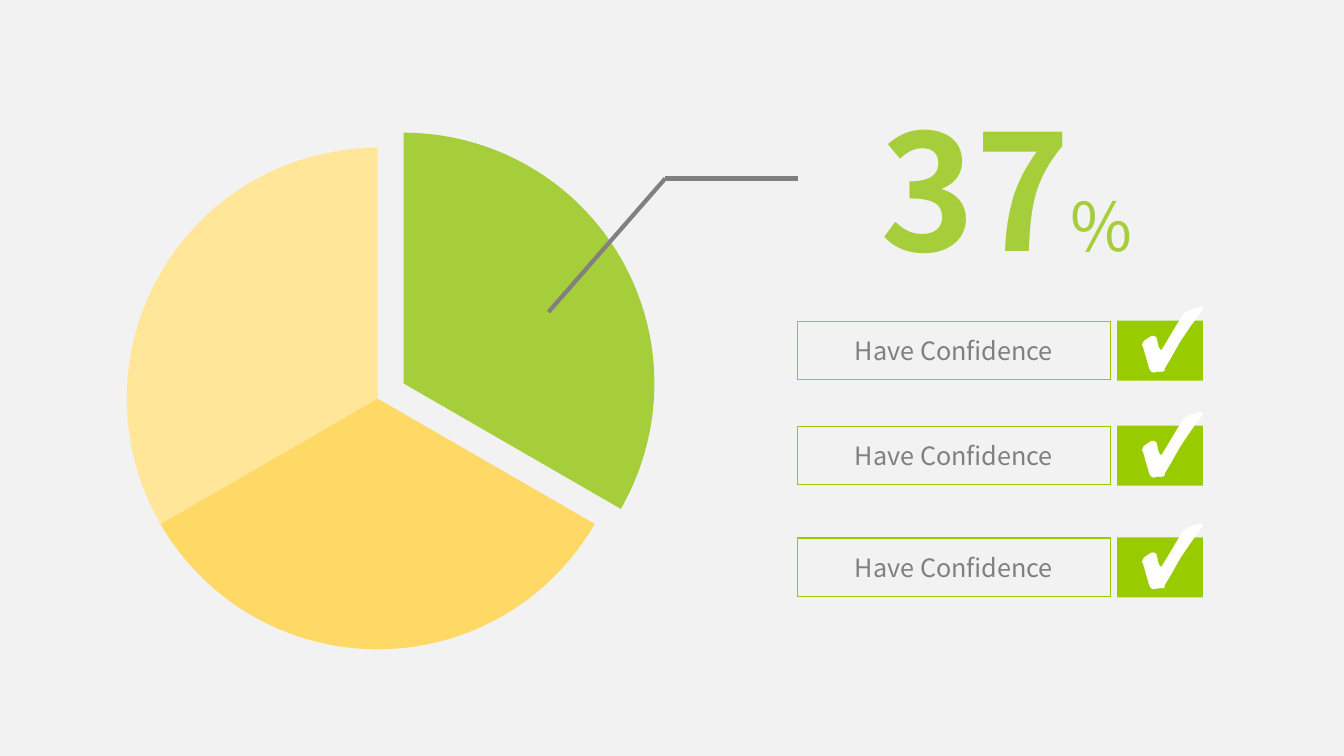
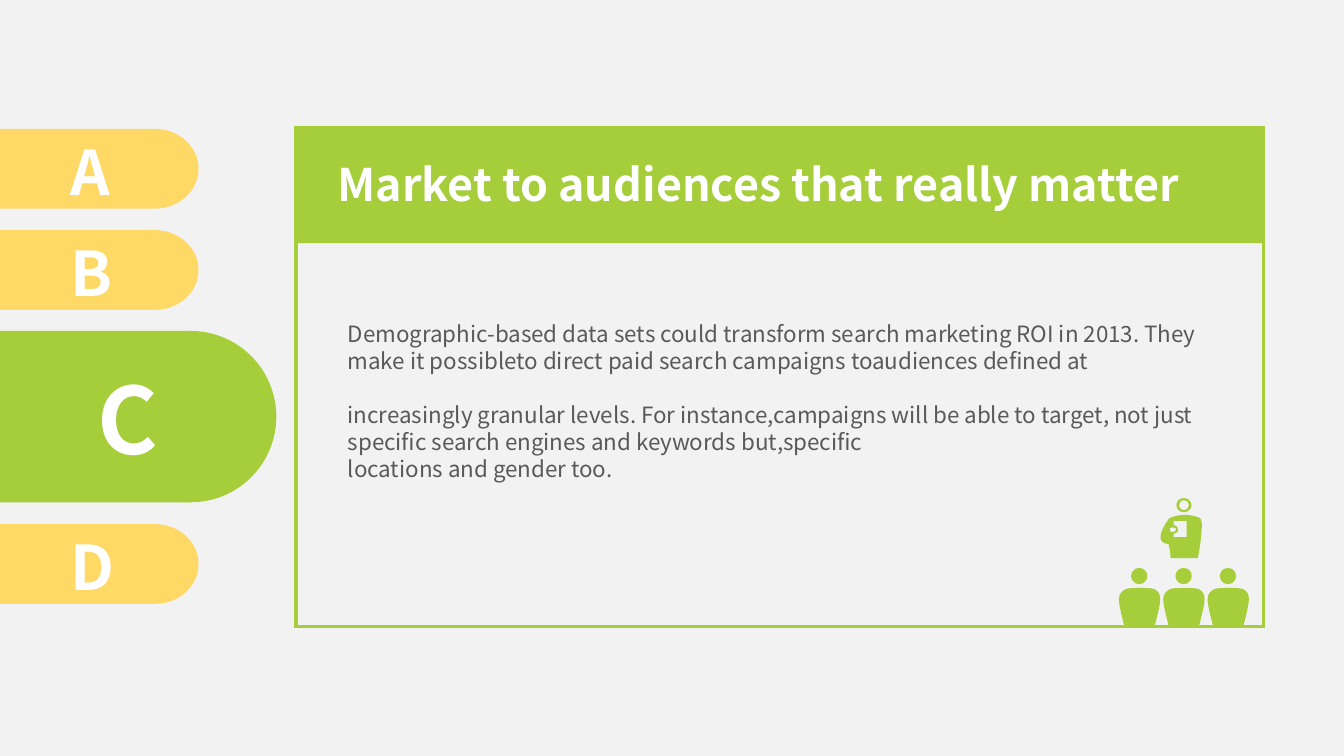
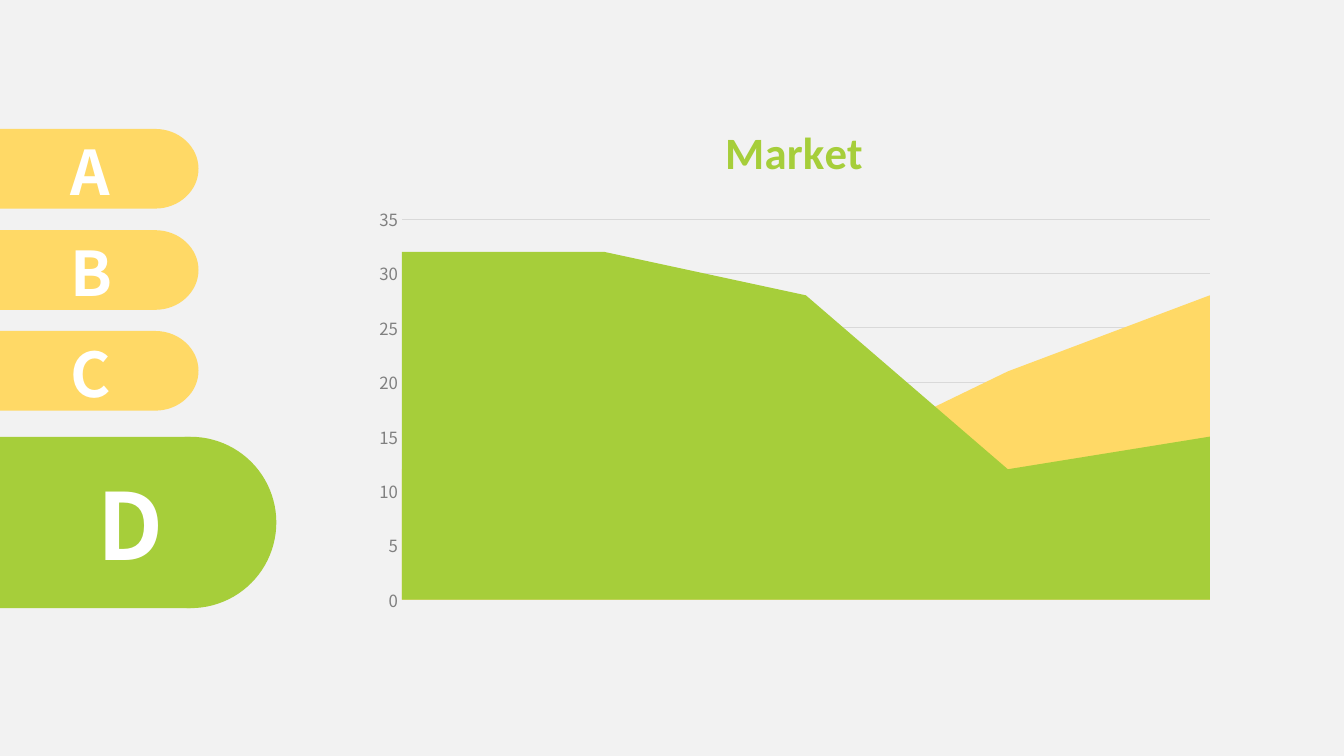
import dataclasses

import lxml.etree
import pptx
import pptx.chart.data
import pptx.dml.color
import pptx.enum.chart
import pptx.enum.shapes
import pptx.enum.text
import pptx.oxml.ns
import pptx.util

SHAPE = pptx.enum.shapes.MSO_SHAPE
ALIGN = pptx.enum.text.PP_ALIGN
ANCHOR = pptx.enum.text.MSO_ANCHOR
qn = pptx.oxml.ns.qn

COLUMNS, ROWS = 160, 90
CELL = pptx.util.Inches(7.5) // ROWS
FINE = 0.12
PRECISION = 100
BLANK, TITLE_AND_BODY = 6, 1


@dataclasses.dataclass(frozen=True)
class Theme:
    font: str = "Noto Sans CJK SC"
    chart_font: str = "Calibri"
    paper: str = "F2F2F2"
    green: str = "A6CE3A"
    lime: str = "99CC00"
    yellow: str = "FFD966"
    pale: str = "FFE699"
    white: str = "FFFFFF"
    grey: str = "808080"
    ink: str = "595959"
    grid: str = "D9D9D9"
    figure: float = 115
    active_letter: float = 66
    percent: float = 48
    letter: float = 44
    title: float = 32
    label: float = 18
    body: float = 16
    axis: float = 12
    chart: float = 10


THEME = Theme()

TAB = [(154, 0), (68, 0), (0, 0), (0, 79), (68, 79), (154, 79),
       (178, 79, 197, 61, 197, 39.5), (197, 18, 178, 0, 154, 0)]
TICK = [(1, 40), (0, 38), (1, 35), (3, 33), (9, 29), (11, 29), (12, 29), (14, 31), (16, 40),
        (18, 43), (19, 43), (21, 40), (39, 10), (41, 7), (44, 5), (48, 3), (57, 0), (58, 0),
        (59, 0), (60, 1), (60, 2), (58, 5), (47, 20), (37, 35), (28, 51), (22, 61),
        (22, 63), (20, 64), (16, 64), (11, 65), (9, 64), (8, 63), (7, 61)]
TORSO = [(35, 1), (31, 0, 27, 0, 21, 0), (15, 0, 10, 0, 7, 1), (3, 3, 0, 6, 0, 11),
         (0, 16, 2, 24, 5, 36), (5, 37, 6, 37, 7, 37), (35, 37, 35, 37, 35, 37),
         (36, 37, 36, 37, 36, 36), (39, 24, 41, 16, 41, 11), (41, 6, 39, 3, 35, 1)]
THINKER = [(39, 2), (36, 1, 32, 0, 27, 0), (22, 0, 18, 1, 15, 2), (12, 2, 10, 5, 10, 6),
           (9, 7, 0, 20, 4, 26), (6, 28, 8, 29, 11, 29), (12, 33, 13, 38, 13, 43), (40, 43),
           (43, 29, 44, 15, 44, 10), (44, 6, 43, 2, 39, 2)]
PUZZLE_KNOB = [(13, 17), (12, 13), (13, 13), (14, 12, 16, 12, 17, 13), (18, 13),
               (18, 14, 18, 15, 18, 16), (17, 17, 15, 17, 13, 17)]
PUZZLE_PIECE = [(29, 22), (16, 22), (16, 19), (18, 18, 19, 18, 20, 17), (20, 16, 21, 14, 20, 13),
                (20, 12, 19, 11, 18, 11), (18, 10, 17, 10, 16, 10), (16, 6), (29, 6)]
RING = [[(7.5, 14), (11, 14, 15, 11, 15, 7), (15, 3, 11, 0, 7.5, 0), (3, 0, 0, 3, 0, 7),
         (0, 11, 3, 14, 7.5, 14)],
        [(7.5, 2), (10, 2, 12.5, 4, 12.5, 7), (12.5, 10, 10, 12, 7.5, 12),
         (5, 12, 2.5, 10, 2.5, 7), (2.5, 4, 5, 2, 7.5, 2)]]


def rgb(color):
    return pptx.dml.color.RGBColor.from_string(color)


def cells(*lengths):
    return [round(length * CELL) for length in lengths]


def node_points(node):
    return [(node[i] * PRECISION, node[i + 1] * PRECISION) for i in range(0, len(node), 2)]


def bend_curves(shape, nodes):
    lines = iter(list(shape._element.iter(qn("a:lnTo"))))
    for node in nodes:
        group = [next(lines) for _ in range(len(node) // 2)]
        if len(group) == 3:
            curve = lxml.etree.Element(qn("a:cubicBezTo"))
            group[0].addprevious(curve)
            for line in group:
                curve.append(line[0])
                line.getparent().remove(line)


def style_font(font, size, color, bold=False, name=THEME.font):
    font.name, font.size, font.bold = name, pptx.util.Pt(size), bold
    font.color.rgb = rgb(color)


def set_layout(parent, index, **shares):
    for old in parent.findall(qn("c:layout")):
        parent.remove(old)
    layout = lxml.etree.Element(qn("c:layout"))
    manual = lxml.etree.SubElement(layout, qn("c:manualLayout"))
    for tag, value in shares.items():
        lxml.etree.SubElement(manual, qn("c:" + tag)).set("val", str(value))
    parent.insert(index, layout)


class Deck:
    def __init__(self):
        self.deck = pptx.Presentation()
        self.deck.slide_width, self.deck.slide_height = cells(COLUMNS, ROWS)
        fill = self.deck.slide_master.background.fill
        fill.solid()
        fill.fore_color.rgb = rgb(THEME.paper)
        self.page = None

    def new_page(self, layout=BLANK):
        self.page = self.deck.slides.add_slide(self.deck.slide_layouts[layout])

    def paint(self, shape, fill=None, line=None, width=0.75):
        shape.shadow.inherit = False
        if fill:
            shape.fill.solid()
            shape.fill.fore_color.rgb = rgb(fill)
        else:
            shape.fill.background()
        if line:
            shape.line.color.rgb = rgb(line)
            shape.line.width = pptx.util.Pt(width)
            border = shape._element.spPr.find(qn("a:ln"))
            lxml.etree.SubElement(border, qn("a:miter")).set("lim", "800000")
        else:
            shape.line.fill.background()
        return shape

    def shape(self, kind, box, fill=None, line=None, width=0.75):
        return self.paint(self.page.shapes.add_shape(kind, *cells(*box)), fill, line, width)

    def outline(self, contours, left, top, fill, line=None, width=0.75):
        builder, nodes = None, []
        for first, *rest in contours:
            start = node_points(first)[0]
            if builder is None:
                builder = self.page.shapes.build_freeform(*start, scale=FINE * CELL / PRECISION)
            else:
                builder.move_to(*start)
            builder.add_line_segments([spot for node in rest for spot in node_points(node)])
            nodes += rest
        shape = builder.convert_to_shape(*cells(left, top))
        bend_curves(shape, nodes)
        return self.paint(shape, fill, line, width)

    def line(self, start, end):
        line = self.page.shapes.add_connector(
            pptx.enum.shapes.MSO_CONNECTOR.STRAIGHT, *cells(*start, *end))
        line.line.color.rgb = rgb(THEME.grey)
        line.line.width = pptx.util.Pt(3)
        lxml.etree.SubElement(line._element.spPr, qn("a:effectLst"))

    def span(self, para, text, size, color, bold=False):
        span = para.add_run()
        span.text = text
        style_font(span.font, size, color, bold)

    def text(self, box, *spans):
        frame = self.page.shapes.add_textbox(*cells(*box)).text_frame
        frame.word_wrap = True
        for span in spans:
            self.span(frame.paragraphs[0], *span)

    def place(self, holder, box):
        holder.left, holder.top, holder.width, holder.height = cells(*box)
        frame = holder.text_frame
        frame.auto_size = pptx.enum.text.MSO_AUTO_SIZE.NONE
        frame.vertical_anchor = ANCHOR.TOP
        frame.word_wrap = True
        return frame

    def title(self, box, text):
        holder = self.page.shapes.title
        frame = self.place(holder, box)
        frame.margin_left = frame.margin_top = frame.margin_right = 0
        para = frame.paragraphs[0]
        para.alignment = ALIGN.LEFT
        para.line_spacing = pptx.util.Pt(37)
        self.span(para, text, THEME.title, THEME.white, True)
        holder._element.getparent().append(holder._element)

    def body(self, box, paragraphs):
        frame = self.place(self.page.placeholders[1], box)
        for index, (text, gap) in enumerate(paragraphs):
            para = frame.add_paragraph() if index else frame.paragraphs[0]
            properties = para._p.get_or_add_pPr()
            properties.set("marL", "0")
            properties.set("indent", "0")
            lxml.etree.SubElement(properties, qn("a:buNone"))
            para.space_before = pptx.util.Pt(gap)
            self.span(para, text, THEME.body, THEME.ink)

    def wedge(self, left, top, start, color):
        pie = self.shape(SHAPE.PIE, (left, top, 59.7, 59.7), color)
        for index, angle in enumerate((start, (start + 120) % 360)):
            pie.adjustments[index] = angle * 0.6

    def check_row(self, top, text):
        label = self.shape(SHAPE.RECTANGLE, (94.9, top, 37.35, 6.95), line=THEME.lime)
        frame = label.text_frame
        frame.word_wrap = False
        frame.vertical_anchor = ANCHOR.MIDDLE
        frame.margin_left = frame.margin_top = frame.margin_right = frame.margin_bottom = 0
        frame.paragraphs[0].alignment = ALIGN.CENTER
        self.span(frame.paragraphs[0], text, THEME.label, THEME.grey)
        self.shape(SHAPE.RECTANGLE, (133, top - 0.08, 10.2, 7.15), THEME.lime)
        self.outline([TICK], 136, top - 1.72, THEME.white, THEME.white, 0.25)

    def active_tab(self, letter, top):
        self.shape(SHAPE.RECTANGLE, (0, top, 22.7, 20.4), THEME.green)
        self.shape(SHAPE.OVAL, (12.5, top, 20.4, 20.4), THEME.green)
        self.text((10.4, top + 3.1, 20.6, 14.5),
                  (letter, THEME.active_letter, THEME.white, True))

    def plain_tab(self, letter, top):
        self.outline([TAB], 0, top, THEME.yellow)
        self.text((7.25, top - 0.05, 8.6, 10.1), (letter, THEME.letter, THEME.white, True))

    def sidebar(self, active, last_top):
        tops = dict(zip("ABCD", (15.35, 27.4, 39.4, last_top)))
        self.active_tab(active, tops.pop(active))
        for letter, top in tops.items():
            self.plain_tab(letter, top)

    def person(self, left, top):
        self.shape(SHAPE.OVAL, (left + 1.45, top, 1.95, 1.95), THEME.green)
        self.outline([TORSO], left, top + 2.4, THEME.green)

    def area_chart(self, box, title, categories, series):
        data = pptx.chart.data.CategoryChartData()
        data.categories = categories
        for name, values, _ in series:
            data.add_series(name, values)
        chart = self.page.shapes.add_chart(
            pptx.enum.chart.XL_CHART_TYPE.AREA, *cells(*box), data).chart
        chart.has_legend = False
        chart.font.name, chart.font.size = THEME.chart_font, pptx.util.Pt(THEME.chart)
        plot = chart.plots[0]
        plot.vary_by_categories = False
        for area, (_, _, color) in zip(plot.series, series):
            area.format.fill.solid()
            area.format.fill.fore_color.rgb = rgb(color)
        span = chart.chart_title.text_frame.paragraphs[0].add_run()
        span.text = title
        style_font(span.font, THEME.title, THEME.green, True, THEME.chart_font)
        set_layout(chart.chart_title._element, 1, xMode="edge", yMode="edge", x=0.41, y=0.03)
        set_layout(chart._chartSpace.chart.plotArea, 0, layoutTarget="inner", xMode="edge",
                   yMode="edge", x=0.046, y=0.232, w=0.933, h=0.725)
        chart.category_axis.visible = False
        axis = chart.value_axis
        axis.minimum_scale, axis.maximum_scale, axis.major_unit = 0, 35, 5
        axis.major_tick_mark = pptx.enum.chart.XL_TICK_MARK.NONE
        axis.format.line.fill.background()
        axis.major_gridlines.format.line.color.rgb = rgb(THEME.grid)
        axis.major_gridlines.format.line.width = pptx.util.Pt(0.75)
        style_font(axis.tick_labels.font, THEME.axis, THEME.grey)
        axis._element.find(qn("c:crossBetween")).set("val", "midCat")


def pie_page(deck):
    deck.new_page()
    deck.wedge(18.2, 15.8, 270, THEME.green)
    deck.wedge(15.1, 17.6, 30, THEME.yellow)
    deck.wedge(15.1, 17.6, 150, THEME.pale)
    deck.text((103.7, 10.2, 51, 24.5), ("37", THEME.figure, THEME.green, True),
              ("%", THEME.percent, THEME.green))
    bend = (79.2, 21.25)
    deck.line((65.3, 37.15), bend)
    deck.line(bend, (95, 21.25))
    for top in (38.25, 50.75, 64.05):
        deck.check_row(top, "Have Confidence")


def audience_page(deck):
    deck.new_page(TITLE_AND_BODY)
    deck.sidebar("C", 62.4)
    deck.shape(SHAPE.RECTANGLE, (35.25, 15.25, 115.2, 59.3), line=THEME.green, width=2.25)
    deck.body((40.2, 37.55, 108.5, 27.1), [
        ("Demographic-based data sets could transform search marketing ROI in 2013. They make "
         "it possibleto direct paid search campaigns toaudiences defined at", 0),
        ("increasingly granular levels. For instance,campaigns will be able to target, not just "
         "specific search engines and keywords but,specific", 19.2),
        ("locations and gender too.", 0)])
    for column in range(3):
        deck.person(133.2 + 5.28 * column, 67.6)
    deck.outline([THINKER, PUZZLE_KNOB, PUZZLE_PIECE], 137.8, 61.3, THEME.green)
    deck.outline(RING, 140.05, 59.3, THEME.green)
    deck.shape(SHAPE.RECTANGLE, (35.25, 15.25, 115.2, 13.7), THEME.green)
    deck.title((40.2, 18.95, 104.3, 9.4), "Market to audiences that really matter")


def market_page(deck):
    deck.new_page()
    deck.sidebar("D", 52)
    deck.area_chart((43.1, 11.6, 103.1, 62.5), "Market", ["1", "2", "3", "4", "5"], [
        ("Series 1", (32, 32, 28, 12, 15), THEME.green),
        ("Series 2", (12, 12, 12, 21, 28), THEME.yellow)])


def main():
    deck = Deck()
    pie_page(deck)
    audience_page(deck)
    market_page(deck)
    deck.deck.save("out.pptx")


if __name__ == "__main__":
    main()
